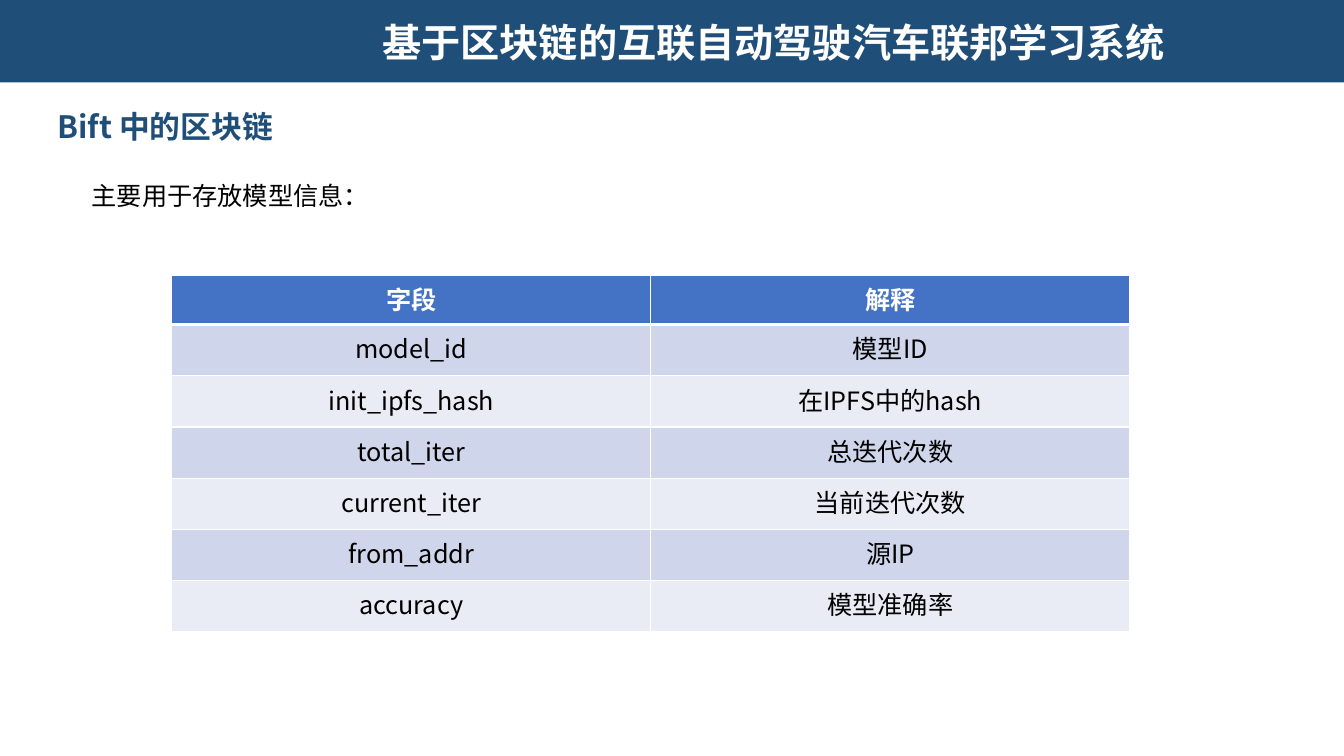
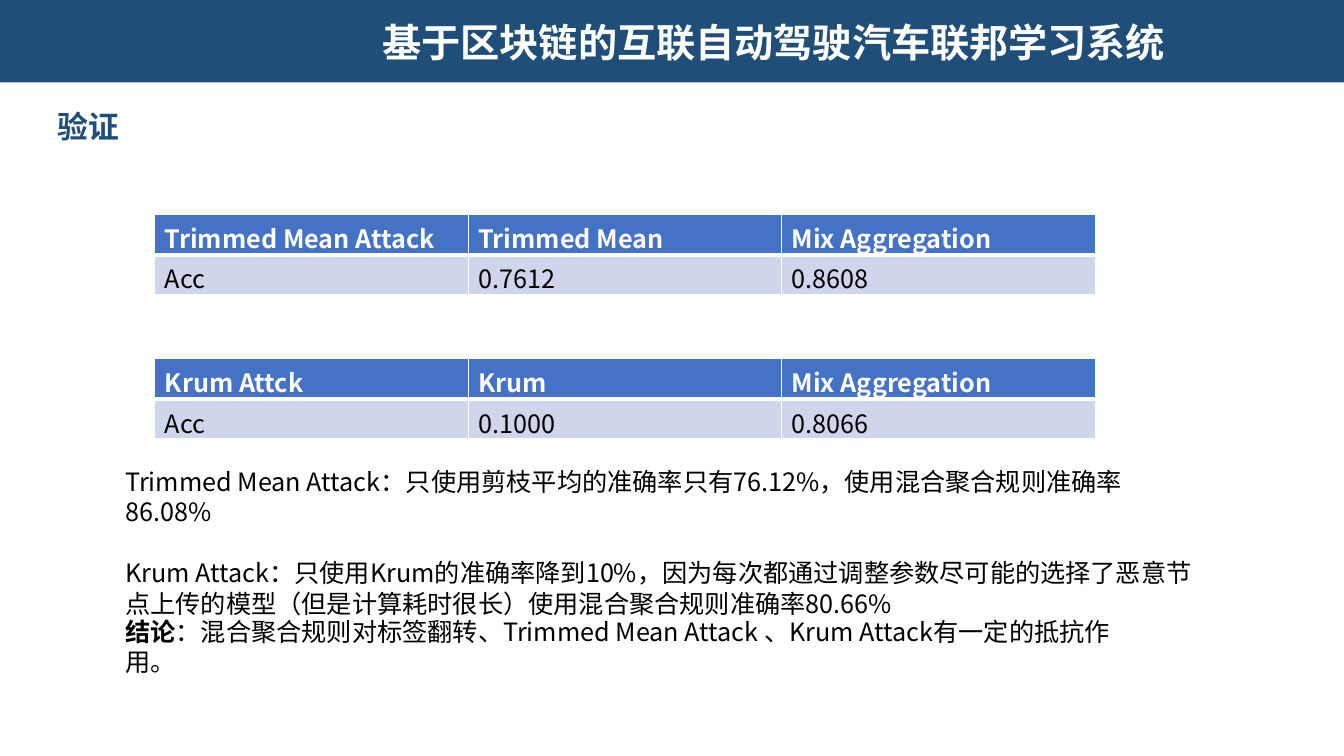
"""Build two slides on a blockchain-based federated learning system."""
from dataclasses import dataclass

from lxml import etree
from pptx import Presentation
from pptx.dml.color import RGBColor
from pptx.enum.shapes import MSO_SHAPE, PP_PLACEHOLDER
from pptx.enum.text import MSO_ANCHOR, MSO_AUTO_SIZE, PP_ALIGN
from pptx.oxml.ns import qn
from pptx.util import Cm, Pt

RECTANGLE = MSO_SHAPE.RECTANGLE
TITLE_TYPE = PP_PLACEHOLDER.TITLE
MIDDLE = MSO_ANCHOR.MIDDLE
FIXED_SIZE, GROW = MSO_AUTO_SIZE.NONE, MSO_AUTO_SIZE.SHAPE_TO_FIT_TEXT
LEFT, CENTER, JUSTIFY = PP_ALIGN.LEFT, PP_ALIGN.CENTER, PP_ALIGN.JUSTIFY

FONT = "Noto Sans CJK SC"
NAVY, WHITE, BLACK = "1F4E79", "FFFFFF", "000000"
HEADER_FILL = "4472C4"
BAND_FILLS = ("CFD5EA", "E9EBF5")
TITLE_SIZE, HEADING_SIZE, BODY_SIZE = 28, 22, 18
SLIDE_WIDTH, SLIDE_HEIGHT = Cm(33.87), Cm(19.05)
TITLE = "基于区块链的互联自动驾驶汽车联邦学习系统"


@dataclass(frozen=True)
class TextRun:
    text: str
    size: int = BODY_SIZE
    color: str = BLACK
    bold: bool = False


@dataclass(frozen=True)
class TextBlock:
    left: float
    top: float
    width: float
    height: float
    paragraphs: tuple[tuple[TextRun, ...], ...]
    gap: int = 0
    auto_size: MSO_AUTO_SIZE = FIXED_SIZE


@dataclass(frozen=True)
class TableBlock:
    left: float
    top: float
    column_width: float
    header_height: float
    row_height: float
    alignment: PP_ALIGN
    rows: tuple[tuple[str, ...], ...]


@dataclass(frozen=True)
class SlideContent:
    heading: str
    tables: tuple[TableBlock, ...]
    texts: tuple[TextBlock, ...]


CONTENTS = (
    SlideContent(
        "Bift 中的区块链",
        (TableBlock(4.33, 6.93, 12.07, 1.25, 1.29, CENTER, (
            ("字段", "解释"),
            ("model_id", "模型ID"),
            ("init_ipfs_hash", "在IPFS中的hash"),
            ("total_iter", "总迭代次数"),
            ("current_iter", "当前迭代次数"),
            ("from_addr", "源IP"),
            ("accuracy", "模型准确率"),
        )),),
        (TextBlock(2.06, 4.42, 12.83, 1.63, ((TextRun("主要用于存放模型信息："),),)),),
    ),
    SlideContent(
        "验证",
        (
            TableBlock(3.9, 5.4, 7.9, 1, 1, LEFT, (
                ("Trimmed Mean Attack", "Trimmed Mean", "Mix Aggregation"),
                ("Acc", "0.7612", "0.8608"),
            )),
            TableBlock(3.9, 9.03, 7.9, 1.01, 1, JUSTIFY, (
                ("Krum Attck", "Krum", "Mix Aggregation"),
                ("Acc", "0.1000", "0.8066"),
            )),
        ),
        (
            TextBlock(2.91, 11.63, 27.56, 3.23, (
                (TextRun("Trimmed Mean Attack：只使用剪枝平均的准确率只有76.12%，"
                         "使用混合聚合规则准确率86.08%"),),
                (TextRun("Krum Attack：只使用Krum的准确率降到10%，"
                         "因为每次都通过调整参数尽可能的选择了恶意节点上传的模型"
                         "（但是计算耗时很长）使用混合聚合规则准确率80.66%"),),
            ), gap=22),
            TextBlock(2.91, 15.41, 25.81, 2.36, ((
                TextRun("结论", bold=True),
                TextRun("：混合聚合规则对标签翻转、Trimmed Mean Attack 、"
                        "Krum Attack有一定的抵抗作用。"),
            ),)),
        ),
    ),
)


def rgb(color: str) -> RGBColor:
    """Turn a hex string into a colour."""
    return RGBColor.from_string(color)


def add_run(paragraph, content: TextRun) -> None:
    """Add one formatted run, with the font for Latin and East Asian text."""
    run = paragraph.add_run()
    run.text = content.text
    run.font.size = Pt(content.size)
    run.font.bold = content.bold
    run.font.color.rgb = rgb(content.color)
    run.font.name = FONT
    etree.SubElement(run.font._element, qn("a:ea"), typeface=FONT)


def add_text(slide, block: TextBlock) -> None:
    """Add a wrapped text box with its paragraphs."""
    shape = slide.shapes.add_textbox(
        Cm(block.left), Cm(block.top), Cm(block.width), Cm(block.height))
    frame = shape.text_frame
    frame.word_wrap = True
    frame.auto_size = block.auto_size
    for index, runs in enumerate(block.paragraphs):
        paragraph = frame.add_paragraph() if index else frame.paragraphs[0]
        if index:
            paragraph.space_before = Pt(block.gap)
        for run in runs:
            add_run(paragraph, run)


def set_borders(cell, bottom_width: int) -> None:
    """Give a cell white borders, with its own width at the bottom."""
    properties = cell._tc.get_or_add_tcPr()
    widths = {"a:lnL": 1, "a:lnR": 1, "a:lnT": 1, "a:lnB": bottom_width}
    for tag, width in widths.items():
        line = etree.SubElement(properties, qn(tag), w=str(Pt(width)))
        fill = etree.SubElement(line, qn("a:solidFill"))
        etree.SubElement(fill, qn("a:srgbClr"), val=WHITE)


def add_table(slide, block: TableBlock) -> None:
    """Add a table with a header row and alternating row fills."""
    row_count, column_count = len(block.rows), len(block.rows[0])
    height = block.header_height + block.row_height * (row_count - 1)
    table = slide.shapes.add_table(
        row_count, column_count, Cm(block.left), Cm(block.top),
        Cm(block.column_width * column_count), Cm(height)).table
    for column in table.columns:
        column.width = Cm(block.column_width)
    for row_index, values in enumerate(block.rows):
        header = row_index == 0
        table.rows[row_index].height = Cm(
            block.header_height if header else block.row_height)
        fill = HEADER_FILL if header else BAND_FILLS[(row_index - 1) % 2]
        for column_index, value in enumerate(values):
            cell = table.cell(row_index, column_index)
            set_borders(cell, 3 if header else 1)
            cell.fill.solid()
            cell.fill.fore_color.rgb = rgb(fill)
            paragraph = cell.text_frame.paragraphs[0]
            paragraph.alignment = block.alignment
            add_run(paragraph, TextRun(
                value, color=WHITE if header else BLACK, bold=header))


def style_layout(layout) -> None:
    """Keep only the title on the shared layout and set its position."""
    for placeholder in list(layout.placeholders):
        if placeholder.placeholder_format.type != TITLE_TYPE:
            layout.shapes.element.remove(placeholder.element)
    title = layout.placeholders[0]
    title.left, title.top = Cm(6.24), Cm(0.31)
    title.width, title.height = Cm(26.52), Cm(1.65)


def add_band(slide) -> None:
    """Add the title band behind everything else."""
    band = slide.shapes.add_shape(RECTANGLE, 0, 0, SLIDE_WIDTH, Cm(2.08))
    band.shadow.inherit = False
    band.fill.solid()
    band.fill.fore_color.rgb = rgb(NAVY)
    band.line.fill.background()
    slide.shapes.element.insert(2, band.element)


def add_title(slide) -> None:
    """Fill and format the title placeholder."""
    frame = slide.shapes.title.text_frame
    frame.auto_size = FIXED_SIZE
    frame.vertical_anchor = MIDDLE
    paragraph = frame.paragraphs[0]
    paragraph.alignment = CENTER
    paragraph.line_spacing = 0.9
    add_run(paragraph, TextRun(TITLE, TITLE_SIZE, WHITE, True))


def add_heading(slide, heading: str) -> None:
    """Add the section heading below the band."""
    run = TextRun(heading, HEADING_SIZE, NAVY, True)
    add_text(slide, TextBlock(1.2, 2.59, 7.98, 1.19, ((run,),), auto_size=GROW))


def main() -> None:
    """Build and save the presentation."""
    presentation = Presentation()
    presentation.slide_width = SLIDE_WIDTH
    presentation.slide_height = SLIDE_HEIGHT
    layout = presentation.slide_layouts.get_by_name("Title Only")
    style_layout(layout)
    for content in CONTENTS:
        slide = presentation.slides.add_slide(layout)
        add_band(slide)
        add_title(slide)
        add_heading(slide, content.heading)
        for table in content.tables:
            add_table(slide, table)
        for text in content.texts:
            add_text(slide, text)
    presentation.save("out.pptx")


if __name__ == "__main__":
    main()
